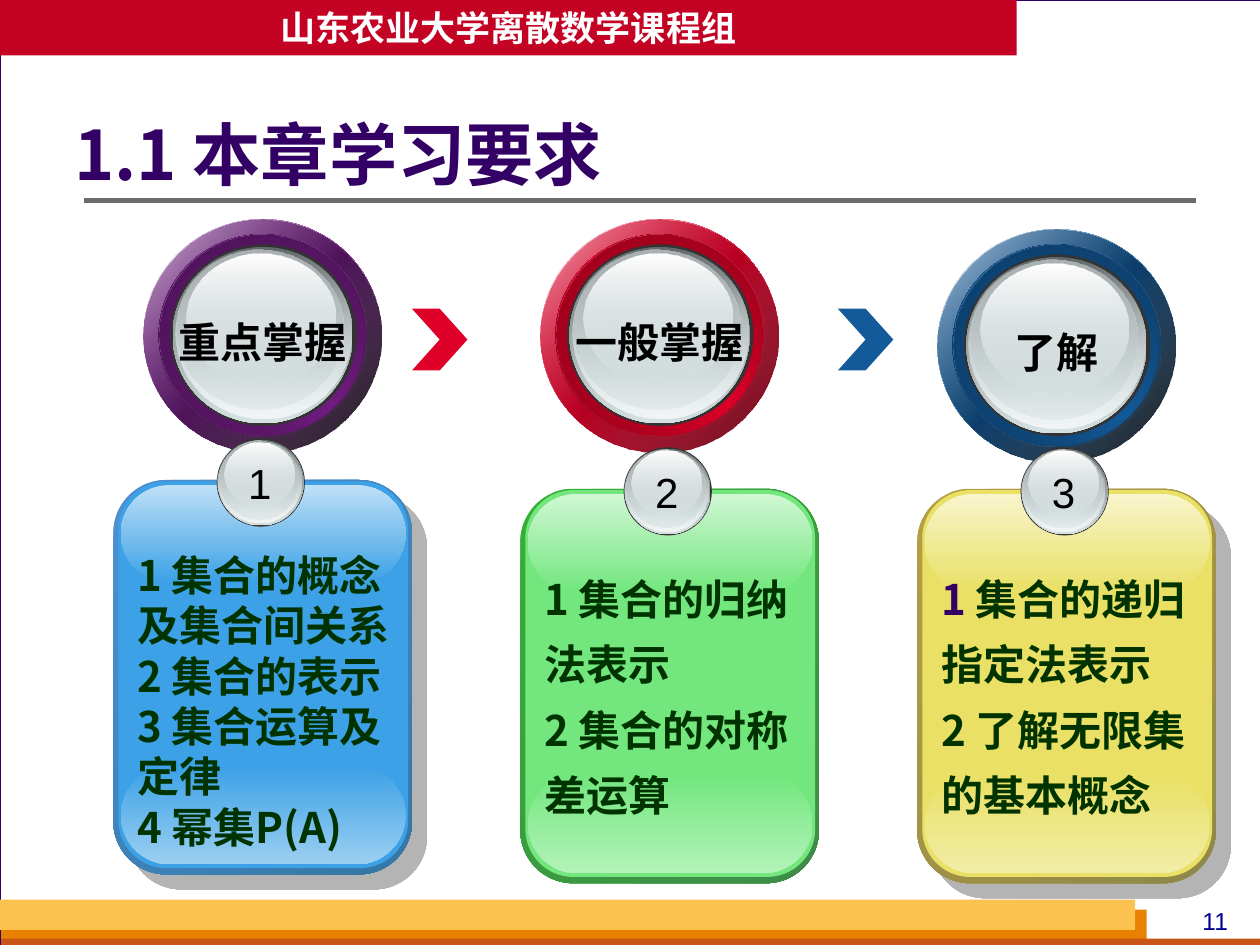
import lxml.etree
import pptx
import pptx.dml.color
import pptx.enum.shapes
import pptx.enum.text
import pptx.oxml.ns
import pptx.util

Inches = pptx.util.Inches
Pt = pptx.util.Pt
qn = pptx.oxml.ns.qn
SHAPE = pptx.enum.shapes.MSO_SHAPE
LEFT = pptx.enum.text.PP_ALIGN.LEFT
CENTER = pptx.enum.text.PP_ALIGN.CENTER
TOP = pptx.enum.text.MSO_ANCHOR.TOP
MIDDLE = pptx.enum.text.MSO_ANCHOR.MIDDLE
CJK = "Noto Sans CJK SC"
INK = "003300"

BALL_FILLS = [
    "333333",
    ([(0, "636869", 100), (100, "D6E1E2", 100)], 90),
    ([(0, "D6E1E2", 0), (100, "F1F5F5", 100)], 90),
    ([(0, "AAB2B3", 100), (100, "D6E1E2", 48)], 90),
    ([(0, "FFFFFF", 100), (100, "D6E1E2", 38)], 90),
]
DISC_BALL = [(0.21, 0.2, 1.48, 1.44), (0.23, 0.22, 1.43, 1.4), (0.25, 0.22, 1.4, 1.36),
             (0.26, 0.24, 1.33, 1.27), (0.34, 0.27, 1.18, 1.03)]
BADGE_BALL = [(0, 0, 0.7, 0.7), (0.01, 0.01, 0.68, 0.68), (0.01, 0.01, 0.66, 0.66),
              (0.02, 0.02, 0.63, 0.62), (0.06, 0.03, 0.56, 0.5)]


def rgb(color):
    """Turn a hex string into a colour."""
    return pptx.dml.color.RGBColor.from_string(color)


def inches(box):
    """Turn a box of plain numbers into lengths."""
    return [Inches(v) for v in box]


def within(box, part):
    """Shift a part's box by the corner of the box that holds it."""
    return box[0] + part[0], box[1] + part[1], part[2], part[3]


def add_color(parent, color, alpha):
    """Append a colour with its opacity in percent."""
    clr = lxml.etree.SubElement(parent, qn("a:srgbClr"), val=color)
    if alpha < 100:
        lxml.etree.SubElement(clr, qn("a:alpha"), val=str(alpha * 1000))


def set_fill(sp, fill):
    """Fill with a hex colour, or with gradient stops and a clockwise angle."""
    if isinstance(fill, str):
        sp.fill.solid()
        sp.fill.fore_color.rgb = rgb(fill)
        return
    stops, angle = fill
    sp.fill.gradient()
    sp.fill.gradient_angle = 360 - angle
    gs_list = sp._element.spPr.find(qn("a:gradFill")).find(qn("a:gsLst"))
    for gs in list(gs_list):
        gs_list.remove(gs)
    for pos, color, alpha in stops:
        gs = lxml.etree.SubElement(gs_list, qn("a:gs"), pos=str(pos * 1000))
        add_color(gs, color, alpha)


def add_shape(shapes, kind, box, fill, radius=None):
    """Add a filled shape without outline or shadow."""
    sp = shapes.add_shape(kind, *inches(box))
    sp.shadow.inherit = False
    if radius is not None:
        sp.adjustments[0] = radius / min(box[2:])
    set_fill(sp, fill)
    sp.line.fill.background()
    return sp


def add_shadow(sp):
    """Cast a hard grey shadow to the lower right."""
    effects = sp._element.spPr.find(qn("a:effectLst"))
    shadow = lxml.etree.SubElement(effects, qn("a:outerShdw"), blurRad="0", dist=str(Pt(12.1)),
                                   dir="2700000", algn="ctr", rotWithShape="0")
    add_color(shadow, "6B6B6B", 50)


def add_text(shapes, box, paragraphs, size, font=CJK, bold=True, align=LEFT,
             anchor=TOP, spacing=None, wrap=True, left=0.1):
    """Add a text box whose paragraphs are lists of (text, colour) runs."""
    tf = shapes.add_textbox(*inches(box)).text_frame
    tf.word_wrap = wrap
    tf.vertical_anchor = anchor
    tf.margin_left = Inches(left)
    for i, runs in enumerate(paragraphs):
        p = tf.paragraphs[0] if i == 0 else tf.add_paragraph()
        p.alignment = align
        p.line_spacing = spacing
        for text, color in runs:
            r = p.add_run()
            r.text = text
            r.font.size = Pt(size)
            r.font.bold = bold
            r.font.name = font
            r.font.color.rgb = rgb(color)
            lxml.etree.SubElement(r._r.get_or_add_rPr(), qn("a:ea"), typeface=CJK)


def add_ball(shapes, box, layers):
    """Stack the shaded ellipses of a silver ball."""
    for part, fill in zip(layers, BALL_FILLS):
        add_shape(shapes, SHAPE.OVAL, within(box, part), fill)


def add_disc(s, box, label, color, inner, rim, shade):
    """Place a coloured ring with a labelled silver ball."""
    shapes = s.shapes.add_group_shape().shapes
    rings = [
        ((0, 0, 1.89, 1.85), ([(0, "FFFFFF", 100), (50, color, 100), (100, "FFFFFF", 100)], 45)),
        ((0, 0, 1.89, 1.85), ([(0, color, 32), (100, *shade)], 45)),
        ((0.12, 0.12, 1.64, 1.6), ([(0, inner, 100), (50, color, 100), (100, inner, 100)], 315)),
        ((0.13, 0.12, 1.64, 1.6), ([(0, rim, 100), (100, color, 0)], 45)),
    ]
    for part, fill in rings:
        add_shape(shapes, SHAPE.OVAL, within(box, part), fill)
    add_ball(shapes, box, DISC_BALL)
    add_text(shapes, within(box, (0.18, 0.72, 1.53, 0.5)), [[(label, "000000")]], 24, "Arial",
             align=CENTER, wrap=False)


def add_panel(s, box, number, paragraphs, color, edge, glow, spacing, shadow):
    """Place a glossy panel with a numbered badge on its top edge."""
    shapes = s.shapes.add_group_shape().shapes
    light, dark = edge
    top, bottom = glow
    rounded = SHAPE.ROUNDED_RECTANGLE
    frame = add_shape(shapes, rounded, box, ([(0, light, 100), (100, dark, 100)], 45), 0.42)
    if shadow:
        add_shadow(frame)
    add_shape(shapes, rounded, within(box, (0.04, 0.01, 2.3, 3.07)), color, 0.38)
    add_shape(shapes, rounded, within(box, (0.06, 2.27, 2.26, 0.78)),
              ([(0, color, 100), (100, bottom, 100)], 90), 0.39)
    add_shape(shapes, rounded, within(box, (0.06, 0.04, 2.26, 0.77)),
              ([(0, top, 100), (100, color, 100)], 90), 0.39)
    badge = within(box, (0.82, -0.33, 0.7, 0.7))
    add_ball(shapes, badge, BADGE_BALL)
    add_text(shapes, within(badge, (0.15, 0.1, 0.38, 0.5)), [[(number, "000000")]], 24, "Arial",
             bold=False, align=CENTER, wrap=False)
    add_text(shapes, within(box, (0.09, 0.5, 2.25, 2.5)), paragraphs, 24, spacing=spacing)


def add_page(s, box):
    """Place the page frame, header band, title, rule and footer bars."""
    s.background.fill.solid()
    s.background.fill.fore_color.rgb = rgb("D8DADA")
    page = add_shape(s.shapes, SHAPE.RECTANGLE, box, "FFFFFF")
    page.line.color.rgb = rgb("330066")
    page.line.width = Pt(0.75)
    bars = [((0.01, 7.22, 9.09, 0.28), "E88000"), ((0.01, 7.45, 9.99, 0.05), "C95616"),
            ((0, 7.14, 9.01, 0.24), "FCC24F"), ((0, 0, 8.07, 0.44), "C30224")]
    for part, color in bars:
        add_shape(s.shapes, SHAPE.RECTANGLE, within(box, part), color)
    x, y = box[:2]
    rule = s.shapes.add_connector(pptx.enum.shapes.MSO_CONNECTOR.STRAIGHT,
                                  *inches((x + 0.67, y + 1.59, x + 9.49, y + 1.59)))
    rule.line.color.rgb = rgb("6B6B6B")
    rule.line.width = Pt(3)
    lxml.etree.SubElement(rule._element.spPr, qn("a:effectLst"))
    add_text(s.shapes, within(box, (0, 0, 8.07, 0.44)), [[("山东农业大学离散数学课程组", "FFFFFF")]],
             20, align=CENTER, anchor=MIDDLE, wrap=False)
    add_text(s.shapes, within(box, (0.59, 0.91, 7.78, 0.69)), [[("1.1 本章学习要求", "330066")]],
             39, anchor=MIDDLE, spacing=0.9, left=0)
    add_text(s.shapes, within(box, (9.33, 7.14, 0.63, 0.34)), [[("11", "000099")]], 14, "Arial",
             bold=False, align=CENTER)


def main():
    """Build the slide and save it."""
    prs = pptx.Presentation()
    prs.slide_width, prs.slide_height = Inches(10), Inches(7.5)
    s = prs.slides.add_slide(prs.slide_layouts[6])
    add_page(s, (0, 0, 10.01, 7.5))
    for x, color in [(3.27, "DF0029"), (6.65, "135A9A")]:
        add_shape(s.shapes, SHAPE.CHEVRON, (x, 2.45, 0.44, 0.49), color)
    discs = [(1.74, "重点掌握", "711C81", "3D0F46", "481252", ("000000", 90)),
             (1.74, "一般掌握", "DF0029", "790016", "8E001A", ("670013", 100)),
             (1.82, "了解", "135A9A", "0A3153", "0C3962", ("000000", 90))]
    for i, (y, *style) in enumerate(discs):
        add_disc(s, (1.14 + 3.15 * i, y, 1.89, 1.85), *style)
    key_points = ["1 集合的概念及集合间关系", "2 集合的表示", "3 集合运算及定律", "4 幂集P(A)"]
    general_points = ["1 集合的归纳法表示", "2 集合的对称差运算"]
    add_panel(s, (0.9, 3.81, 2.37, 3.13), "1", [[(t, INK)] for t in key_points],
              "3CA1E6", ("4E91D4", "3477A4"), ("BEE0F7", "9BCFF2"), None, True)
    add_panel(s, (4.13, 3.88, 2.37, 3.13), "2", [[(t, INK)] for t in general_points],
              "73E77E", ("34B034", "3F8B4A"), ("D0F7D4", "B3F2B9"), 1.3, False)
    add_panel(s, (7.28, 3.88, 2.37, 3.13), "3",
              [[("1 ", "330066"), ("集合的递归指定法表示", INK)], [("2 了解无限集的基本概念", INK)]],
              "E9E065", ("B59F43", "8F8849"), ("F8F5CC", "F2EDA6"), 1.3, True)
    prs.save("out.pptx")


if __name__ == "__main__":
    main()
